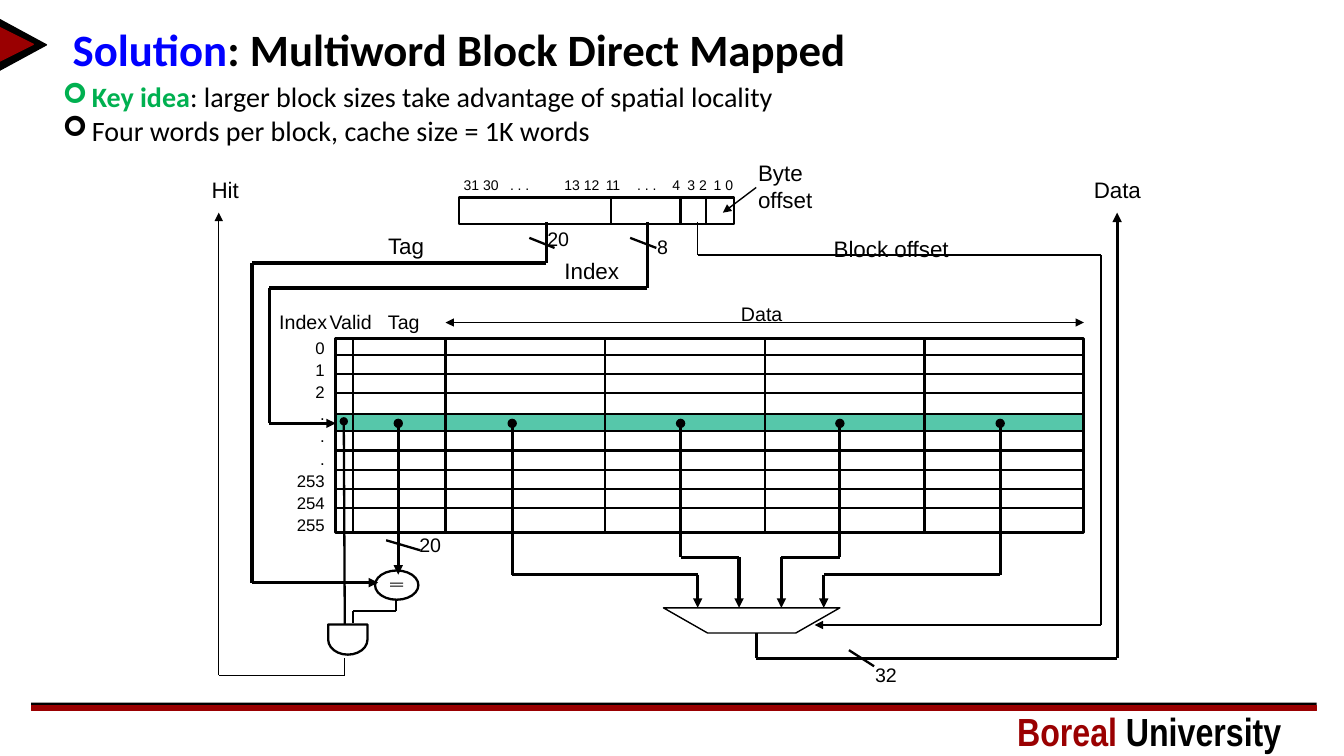
"""Builds the slide on a direct mapped cache with multiword blocks."""
from itertools import pairwise

from lxml.etree import SubElement
from pptx import Presentation
from pptx.dml.color import RGBColor
from pptx.enum.shapes import MSO_CONNECTOR, MSO_SHAPE
from pptx.enum.text import MSO_ANCHOR, MSO_AUTO_SIZE, PP_ALIGN
from pptx.oxml.ns import qn
from pptx.util import Inches, Pt

BLACK, RED, BLUE, GREEN, TEAL = "000000", "9A0001", "0000FF", "00B050", "56C7AA"
THIN, MEDIUM, WIRE, BUS = 1, 1.63, 2.25, 3

TITLE = [("Solution", BLUE, True), (": Multiword Block Direct Mapped", BLACK, True)]
BULLETS = [
    [("Key idea", GREEN, True),
     (": larger block sizes take advantage of spatial locality", BLACK, False)],
    [("Four words per block, cache size = 1K words", BLACK, False)],
]
FOOTER = [("Boreal ", RED, True), ("University", BLACK, True)]

LABELS = [
    ("Hit", 2, 1.7, 0.47, 16), ("Data", 10.75, 1.7, 0.67, 16),
    ("Tag", 3.75, 2.25, 0.58, 16), ("Index", 5.5, 2.5, 0.74, 16),
    ("Block offset", 8.17, 2.28, 1.75, 16), ("Byte offset", 7.42, 1.53, 0.92, 16),
    ("20", 5.33, 2.2, 0.42, 14), ("8", 6.42, 2.28, 0.31, 14),
    ("20", 4.06, 5.24, 0.42, 14), ("32", 8.58, 6.53, 0.42, 14),
    ("Index", 2.67, 3.03, 0.68, 14), ("Valid", 3.17, 3.03, 0.63, 14),
    ("Tag", 3.75, 3.03, 0.53, 14), ("Data", 7.25, 2.95, 0.61, 14),
]
ADDRESS_BITS = ["31 30", ". . .", "13 12", "11", ". . .", "4", "3 2", "1 0"]
BIT_STOPS = [0.46, 1, 1.41, 1.72, 2.07, 2.22, 2.48]
ROW_NAMES = ["0", "1", "2", ".", ".", ".", "253", "254", "255"]

LEFT, TOP, WIDTH, HEIGHT = 3.33, 3.36, 7.42, 1.92
RIGHT, BOTTOM = LEFT + WIDTH, TOP + HEIGHT
ROW_LINES = [3.52 + 0.19 * row for row in (0, 1, 2, 5, 6, 7, 8)]
COLUMN_LINES = [3.5] + [4.42 + 1.583 * word for word in range(4)]
HIT_ROW = 4.2
MUX_TOP = 6.03
WORD_PATHS = [(5.08, 5.7, 6.92), (6.75, 5.53, 7.33), (8.33, 5.53, 7.75), (9.92, 5.7, 8.17)]

ROUTES = [
    (WIRE, [(5.42, 2.2), (5.42, 2.61)], None, None),
    (BUS, [(5.42, 2.61), (2.5, 2.61)], None, None),
    (WIRE, [(2.5, 2.61), (2.5, 5.78), (3.75, 5.78)], None, "triangle"),
    (WIRE, [(6.42, 2.2), (6.42, 2.86)], None, None),
    (BUS, [(6.42, 2.86), (2.67, 2.86)], None, None),
    (WIRE, [(2.67, 2.86), (2.67, HIT_ROW), (LEFT, HIT_ROW)], None, "triangle"),
    (WIRE, [(3.95, HIT_ROW), (3.95, 5.7)], "oval", "triangle"),
    (MEDIUM, [(3.41, 4.18), (3.42, 6.2)], "oval", None),
    (MEDIUM, [(3.93, 5.94), (3.93, 6.06), (3.5, 6.06), (3.5, 6.18)], None, None),
    (THIN, [(3.42, 6.53), (3.42, 6.7), (2.17, 6.7), (2.17, 2.11)], None, "triangle"),
    (THIN, [(6.92, 2.2), (6.92, 2.53), (10.92, 2.53), (10.92, 6.2), (8.08, 6.2)],
     None, "triangle"),
    (WIRE, [(7.5, 6.28), (7.5, 6.53), (11.08, 6.53), (11.08, 2.11)], None, "triangle"),
    (THIN, [(7.5, 1.86), (7.17, 2.11)], None, "triangle"),
    (THIN, [(4.42, 3.2), (RIGHT, 3.2)], "triangle", "triangle"),
]
ROUTES += [(WIRE, [(word, HIT_ROW), (word, turn), (port, turn), (port, MUX_TOP)],
            "oval", "triangle") for word, turn, port in WORD_PATHS]
ROUTES += [(MEDIUM, [(x, 1.96), (x, 2.21)], None, None) for x in (6.06, 6.75, 7)]
ROUTES += [(MEDIUM, [(x, y), (x + run, y + rise)], None, None) for x, y, run, rise in
           [(5.25, 2.36, 0.25, 0.1), (6.25, 2.36, 0.26, 0.1),
            (3.83, 5.36, 0.34, 0.1), (8.42, 6.45, 0.25, 0.16)]]


def color(value):
    return RGBColor.from_string(value)


def place(shape, left, top, width, height):
    shape.left, shape.top = Inches(left), Inches(top)
    shape.width, shape.height = Inches(width), Inches(height)


def write(para, spans, font, size):
    for text, tint, bold in spans:
        span = para.add_run()
        span.text = text
        span.font.color.rgb = color(tint)
        span.font.bold = bold
        span.font.name, span.font.size = font, Pt(size)


def add_outline(page, kind, box, fill=None, line=None, weight=MEDIUM, turn=0):
    shape = page.shapes.add_shape(kind, *map(Inches, box))
    shape.shadow.inherit = False
    shape.rotation = turn
    if fill:
        shape.fill.solid()
        shape.fill.fore_color.rgb = color(fill)
    else:
        shape.fill.background()
    if line:
        shape.line.color.rgb = color(line)
        shape.line.width = Pt(weight)
    else:
        shape.line.fill.background()
    return shape


def add_route(page, weight, points, head=None, tail=None):
    segments = list(pairwise(points))
    for index, (start, end) in enumerate(segments):
        wire = page.shapes.add_connector(MSO_CONNECTOR.STRAIGHT, *map(Inches, start + end))
        wire.line.color.rgb = color(BLACK)
        wire.line.width = Pt(weight)
        properties = wire._element.spPr
        stroke = properties.find(qn("a:ln"))
        if head and index == 0:
            SubElement(stroke, qn("a:headEnd"), type=head)
        if tail and index == len(segments) - 1:
            SubElement(stroke, qn("a:tailEnd"), type=tail)
        SubElement(properties, qn("a:effectLst"))


def add_text(page, left, top, width, height, wrap=False):
    frame = page.shapes.add_textbox(*map(Inches, (left, top, width, height))).text_frame
    frame.word_wrap = wrap
    frame.auto_size = MSO_AUTO_SIZE.SHAPE_TO_FIT_TEXT
    return frame


def set_arial(para, size):
    para.font.name, para.font.size = "Arial", Pt(size)
    para.font.color.rgb = color(BLACK)


def add_frame(page):
    add_outline(page, MSO_SHAPE.RECTANGLE, (0.31, 6.97, 12.75, 0.03), BLACK)
    add_outline(page, MSO_SHAPE.RECTANGLE, (0.31, 7, 12.75, 0.05), RED, RED, THIN)
    for box, tint in [((-0.03, 0.21, 0.51, 0.47), BLACK), ((-0.01, 0.27, 0.34, 0.34), RED)]:
        add_outline(page, MSO_SHAPE.ISOSCELES_TRIANGLE, box, tint, tint, THIN, 90)
    footer = add_text(page, 9.99, 6.97, 3.16, 0.57, True)
    write(footer.paragraphs[0], FOOTER, "Arial Narrow", 28)


def add_heading(page):
    title, body = page.shapes.title, page.placeholders[1]
    place(title, 0.62, 0.15, 12.41, 0.73)
    title.text_frame.vertical_anchor = MSO_ANCHOR.MIDDLE
    para = title.text_frame.paragraphs[0]
    para.alignment, para.line_spacing = PP_ALIGN.LEFT, 0.9
    write(para, TITLE, "Calibri", 32)

    place(body, 0.62, 0.79, 9.22, 0.67)
    frame = body.text_frame
    frame.margin_left = frame.margin_right = frame.margin_top = frame.margin_bottom = 0
    for index, spans in enumerate(BULLETS):
        para = frame.add_paragraph() if index else frame.paragraphs[0]
        para.space_before = Pt(0)
        properties = para._p.get_or_add_pPr()
        properties.set("marL", str(Inches(0.29)))
        properties.set("indent", str(-Inches(0.29)))
        SubElement(properties, qn("a:buFont"), typeface="Wingdings")
        SubElement(properties, qn("a:buChar"), char="➢")
        write(para, spans, "Calibri", 20)


def add_cache(page):
    add_outline(page, MSO_SHAPE.RECTANGLE, (LEFT, 4.11, WIDTH, 0.17), TEAL, BLACK)
    for y in ROW_LINES:
        add_route(page, MEDIUM, [(LEFT, y), (RIGHT, y)])
    for x in COLUMN_LINES:
        add_route(page, MEDIUM, [(x, TOP), (x, BOTTOM)])
    add_outline(page, MSO_SHAPE.RECTANGLE, (LEFT, TOP, WIDTH, HEIGHT), None, BLACK, WIRE)
    frame = add_text(page, 2.84, 3.28, 0.48, 2.09)
    for index, name in enumerate(ROW_NAMES):
        para = frame.add_paragraph() if index else frame.paragraphs[0]
        para.text = name
        para.alignment, para.line_spacing = PP_ALIGN.RIGHT, 1.1
        set_arial(para, 12)


def add_logic(page):
    add_outline(page, MSO_SHAPE.RECTANGLE, (4.55, 1.96, 2.73, 0.26), None, BLACK)
    add_outline(page, MSO_SHAPE.OVAL, (3.72, 5.66, 0.43, 0.29), None, BLACK)
    for y in (5.78, 5.81):
        add_outline(page, MSO_SHAPE.RECTANGLE, (3.87, y, 0.13, 0.01), BLACK)
    add_outline(page, MSO_SHAPE.FLOWCHART_DELAY, (3.3, 6.15, 0.3, 0.39), None, BLACK, turn=90)
    mux = add_outline(page, MSO_SHAPE.TRAPEZOID, (6.58, MUX_TOP, 1.75, 0.25),
                      None, BLACK, THIN, 180)
    mux.adjustments[0] = 1.75
    for route in ROUTES:
        add_route(page, *route)


def add_labels(page):
    for text, left, top, width, size in LABELS:
        frame = add_text(page, left, top, width, 0.35, " " in text)
        frame.text = text
        set_arial(frame.paragraphs[0], size)
    para = add_text(page, 4.5, 1.7, 3.35, 0.27, True).paragraphs[0]
    para.text = "\t".join(ADDRESS_BITS)
    stops = SubElement(para._p.get_or_add_pPr(), qn("a:tabLst"))
    for stop in BIT_STOPS:
        SubElement(stops, qn("a:tab"), pos=str(Inches(stop)), algn="l")
    set_arial(para, 10)


def main():
    deck = Presentation()
    deck.slide_width, deck.slide_height = Inches(13.33), Inches(7.5)
    page = deck.slides.add_slide(deck.slide_layouts[1])
    for build in (add_frame, add_heading, add_cache, add_logic, add_labels):
        build(page)
    deck.save("out.pptx")


if __name__ == "__main__":
    main()
